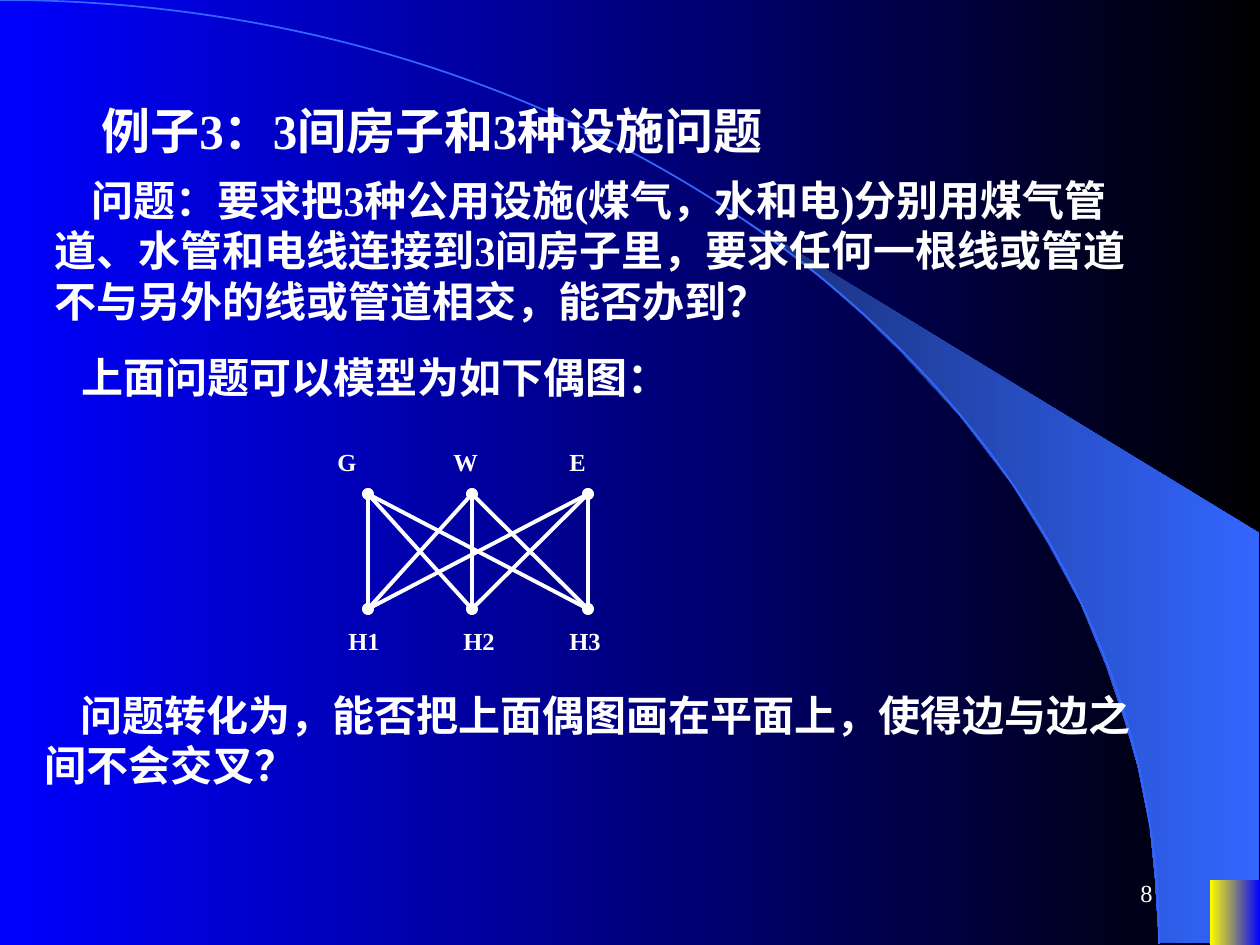
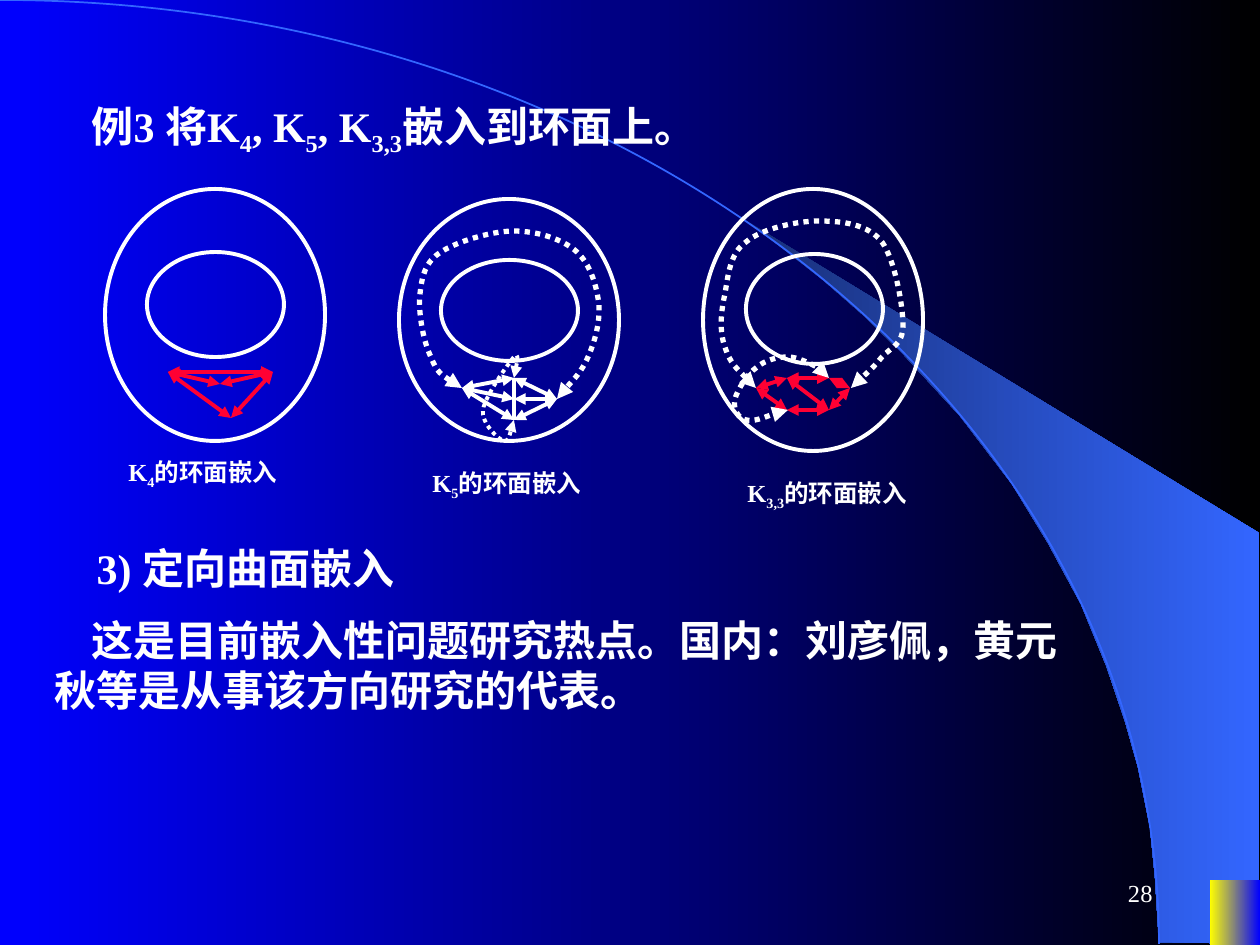
import itertools

import pptx
import pptx.dml.color
import pptx.enum.dml
import pptx.enum.shapes
import pptx.enum.text
import pptx.oxml
import pptx.oxml.ns
import pptx.util
from lxml import etree

PX = 914400 / 126
FONT = "Times New Roman"
WHITE, RED, BLUE = "FFFFFF", "FF0033", "3366FF"
SHAPE = pptx.enum.shapes.MSO_SHAPE
ALIGN = pptx.enum.text.PP_ALIGN
ANCHOR = pptx.enum.text.MSO_ANCHOR

# ---- Content: text between bars is subscript; each paragraph has an indent
HOUSES = {
    "number": "8",
    "title": ("例子3：3间房子和3种设施问题", 47, 28),
    "body": [
        ("问题：要求把3种公用设施(煤气，水和电)分别用煤气管道、水管和电线连接到"
         "3间房子里，要求任何一根线或管道不与另外的线或管道相交，能否办到？", 37),
        ("上面问题可以模型为如下偶图：", 27)],
    "place": (42, 168, 1113, 230),
    "gap": 15,
}
CLOSING = ("问题转化为，能否把上面偶图画在平面上，使得边与边之间不会交叉？", 36)
TORUS = {
    "number": "28",
    "title": ("例3 将K|4|, K|5|, K|3,3|嵌入到环面上。", 37, 24),
    "body": [
        ("3) 定向曲面嵌入", 42),
        ("这是目前嵌入性问题研究热点。国内：刘彦佩，黄元秋等是从事该方向研究的代表。", 37)],
    "place": (42, 536, 1061, 190),
    "gap": 12.5,
}

# Bipartite graph: node columns, node rows, and labels with their left edges
COLS, ROWS = (368, 472, 588), (494, 609)
LABELS = [(441, [("G", 325), ("W", 441), ("E", 557)]),
          (620, [("H1", 336), ("H2", 451), ("H3", 557)])]

# Torus drawings: rings, named nodes, edges, plain edges, dotted curves
DRAWINGS = [
    {"label": ("K|4|的环面嵌入", 116, 451), "color": RED,
     "rings": [(105, 189, 220, 252), (147, 252, 137, 105)],
     "nodes": {"a": (168, 372), "b": (273, 372), "c": (220, 384), "d": (231, 418)},
     "edges": "ab ac bc ad bd", "plain": "", "curves": []},
    {"label": ("K|5|的环面嵌入", 420, 462), "color": WHITE,
     "rings": [(399, 199, 220, 242), (441, 260, 137, 101)],
     "nodes": {"n": (514, 378), "w": (462, 388), "s": (514, 420),
               "e": (557, 399), "c": (514, 399)},
     "edges": "nw ws ne es wc ce", "plain": "cs nc",
     "curves": [
         (2.25, [(514, 378), (517, 365), (519, 352), (514, 357),
                 (509, 363), (485, 396), (483, 410),
                 (481, 423), (499, 440), (504, 441),
                 (509, 442), (513, 423), (514, 420)]),
         (3, [(462, 388), (450, 381), (437, 373), (431, 357),
              (423, 341), (418, 311), (420, 294),
              (422, 276), (425, 262), (441, 252),
              (456, 242), (491, 231), (514, 231),
              (537, 231), (563, 239), (577, 252),
              (591, 265), (597, 287), (599, 305),
              (600, 323), (595, 341), (588, 357),
              (581, 373), (562, 392), (557, 399)])]},
    {"label": ("K|3,3|的环面嵌入", 735, 472), "color": RED,
     "rings": [(703, 189, 220, 262), (746, 254, 137, 110)],
     "nodes": {"p": (787, 378), "q": (829, 378), "r": (850, 388),
               "s": (829, 410), "t": (787, 410), "u": (756, 388)},
     "edges": "pq qr rs ts pu ut ps", "plain": "",
     "curves": [
         (3, [(829, 378), (828, 374), (827, 370), (819, 368),
              (811, 364), (798, 357), (788, 357),
              (777, 357), (765, 360), (756, 368),
              (747, 374), (737, 391), (735, 399),
              (733, 408), (737, 418), (746, 420),
              (755, 422), (780, 411), (788, 410)]),
         (3, [(756, 388), (743, 375), (730, 363), (725, 347),
              (719, 331), (721, 311), (725, 294),
              (728, 276), (730, 253), (746, 242),
              (761, 229), (796, 221), (819, 221),
              (842, 221), (868, 224), (882, 242),
              (895, 260), (903, 306), (903, 325),
              (903, 345), (891, 347), (882, 357),
              (873, 368), (856, 383), (851, 388)])]},
]

# Backdrop shared through the master
BEAM = [(1159, 942), (1259, 944), (1259, 533), (742, 218), (786, 251),
        (823, 280), (863, 315), (902, 353), (960, 416), (1012, 484),
        (1048, 543), (1081, 604), (1106, 665), (1125, 721), (1138, 767),
        (1150, 827), (1155, 877), (1159, 942)]
ARC = [(0, 0), (640, 0), (1159, 422), (1159, 944)]
CORNER = (1210, 880, 50, 65)


# ---- Helpers
def emu(*vals):
    return [pptx.util.Emu(round(v * PX)) for v in vals]


def rgb(code):
    return pptx.dml.color.RGBColor.from_string(code)


def blend(fill, start, end):
    fill.gradient()
    fill.gradient_angle = 0
    for stop, code in zip(fill.gradient_stops, (start, end)):
        stop.color.rgb = rgb(code)


def stroke(shape, color, width, ends=None, dots=False):
    line = shape.line
    line.color.rgb = rgb(color)
    line.width = pptx.util.Pt(width)
    if dots:
        line.dash_style = pptx.enum.dml.MSO_LINE.ROUND_DOT
    if ends:
        for tag in ("a:headEnd", "a:tailEnd"):
            etree.SubElement(line._get_or_add_ln(), pptx.oxml.ns.qn(tag), type=ends)


def write(shape, paras, size=24, bold=True, align=ALIGN.LEFT,
          anchor=ANCHOR.TOP, gap=0):
    """Fill a shape with (text, indent) paragraphs."""
    frame = shape.text_frame
    frame.word_wrap = True
    frame.auto_size = pptx.enum.text.MSO_AUTO_SIZE.NONE
    frame.vertical_anchor = anchor
    for i, (text, indent) in enumerate(paras):
        para = frame.add_paragraph() if i else frame.paragraphs[0]
        props = para._p.get_or_add_pPr()
        props.set("marL", "0")
        props.set("indent", str(emu(indent)[0]))
        etree.SubElement(props, pptx.oxml.ns.qn("a:buNone"))
        para.alignment = align
        para.space_before = pptx.util.Pt(gap if i else 0)
        for j, part in enumerate(text.split("|")):
            run = para.add_run()
            run.text = part
            font = run.font
            font.name, font.size, font.bold = FONT, pptx.util.Pt(size), bold
            font.color.rgb = rgb(WHITE)
            run._r.get_or_add_rPr().set("lang", "zh-CN")
            if j % 2:
                run._r.get_or_add_rPr().set("baseline", "-25000")


def put(shape, box):
    shape.left, shape.top, shape.width, shape.height = emu(*box)


def label(slide, box, text, indent=0, **style):
    write(slide.shapes.add_textbox(*emu(*box)), [(text, indent)], **style)


def link(slide, start, end, color=WHITE, ends=None):
    line = slide.shapes.add_connector(
        pptx.enum.shapes.MSO_CONNECTOR.STRAIGHT, *emu(*start, *end))
    stroke(line, color, 2.25, ends)
    etree.SubElement(line._element.spPr, pptx.oxml.ns.qn("a:effectLst"))


def trace(slide, points, curved=False):
    pen = slide.shapes.build_freeform(*points[0], scale=PX)
    pen.add_line_segments(points[1:], close=not curved)
    shape = pen.convert_to_shape()
    shape.shadow.inherit = False
    if curved:
        # Every three points form one cubic segment
        shape.fill.background()
        steps = shape._element.xpath(".//a:lnTo")
        for i in range(0, len(steps), 3):
            curve = etree.Element(pptx.oxml.ns.qn("a:cubicBezTo"))
            steps[i].addprevious(curve)
            for step in steps[i:i + 3]:
                curve.append(step[0])
                step.getparent().remove(step)
    return shape


def backdrop(deck, slide):
    master = deck.slide_master
    blend(master.background.fill, "0000FF", "000000")
    beam = trace(slide, BEAM)
    blend(beam.fill, "182F76", BLUE)
    beam.line.fill.background()
    arc = trace(slide, ARC, curved=True)
    stroke(arc, BLUE, 1)
    corner = slide.shapes.add_shape(SHAPE.RECTANGLE, *emu(*CORNER))
    corner.shadow.inherit = False
    blend(corner.fill, "FFFF00", "0000FF")
    corner.line.fill.background()
    for i, shape in enumerate((beam, arc, corner)):
        shape._element.xpath(".//p:cNvPr")[0].set("id", str(20 + i))
        master.shapes._spTree.insert(2 + i, shape._element)


def page(deck, data):
    slide = deck.slides.add_slide(deck.slide_layouts[1])
    title, body = slide.placeholders
    text, indent, size = data["title"]
    put(title, (42, 94, 1061, 72))
    write(title, [(text, indent)], size=size)
    put(body, data["place"])
    write(body, data["body"], gap=data["gap"])
    label(slide, (903, 861, 262, 63), data["number"], size=14, bold=False,
          align=ALIGN.RIGHT, anchor=ANCHOR.MIDDLE)
    return slide


def main():
    deck = pptx.Presentation()
    deck.slide_width, deck.slide_height = emu(1260, 945)

    # Houses and utilities
    slide = page(deck, HOUSES)
    backdrop(deck, slide)
    for top, foot in itertools.product(COLS, COLS):
        link(slide, (top, ROWS[0]), (foot, ROWS[1]), ends="oval")
    for y, row in LABELS:
        for text, x in row:
            label(slide, (x, y, 76, 43), text, size=14)
    label(slide, (32, 683, 1114, 113), *CLOSING)

    # Embeddings on the torus
    slide = page(deck, TORUS)
    for item in DRAWINGS:
        for box in item["rings"]:
            ring = slide.shapes.add_shape(SHAPE.OVAL, *emu(*box))
            ring.shadow.inherit = False
            ring.fill.background()
            stroke(ring, WHITE, 2.25)
        nodes = item["nodes"]
        for ends, pairs in (("triangle", item["edges"]), (None, item["plain"])):
            for a, b in pairs.split():
                link(slide, nodes[a], nodes[b], item["color"], ends)
        for width, points in item["curves"]:
            stroke(trace(slide, points, curved=True), WHITE, width,
                   ends="triangle", dots=True)
        text, x, y = item["label"]
        label(slide, (x, y, 202, 47), text, size=14)

    deck.save("out.pptx")


if __name__ == "__main__":
    main()
